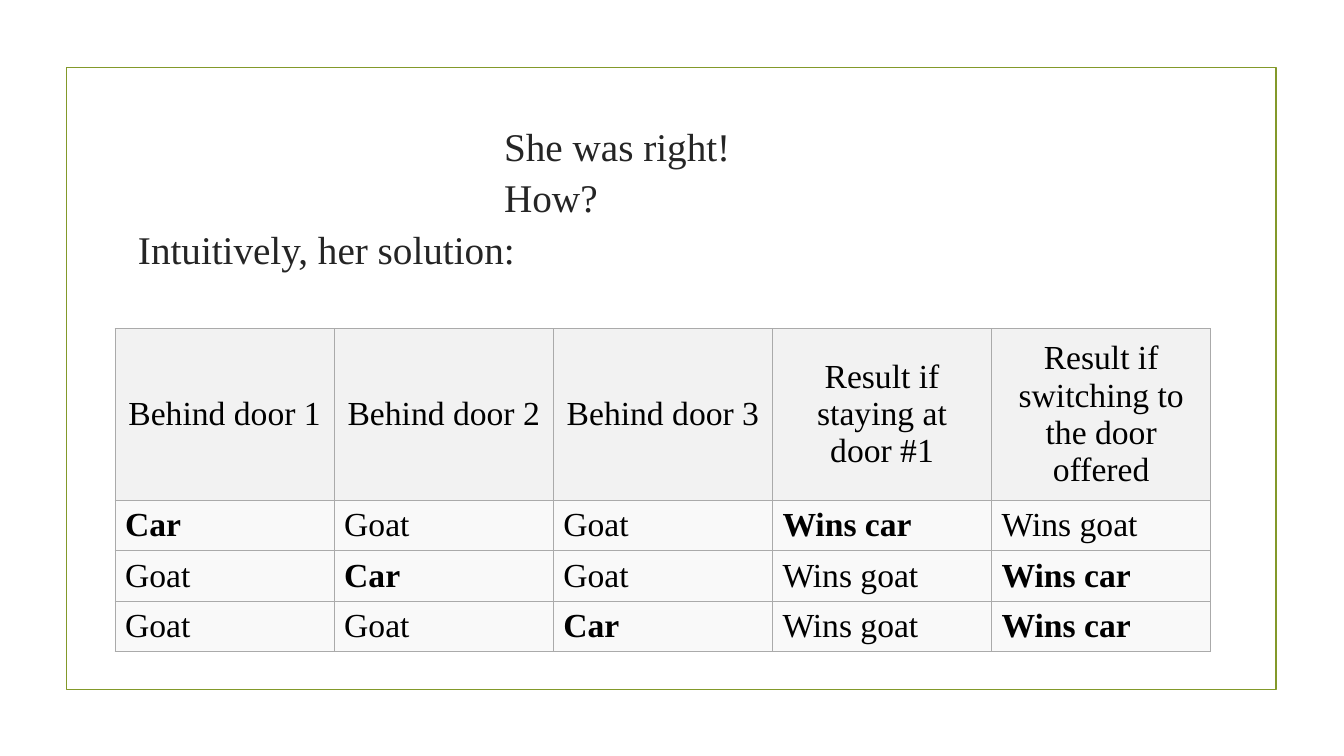
import pptx
import pptx.util
import pptx.dml.color
import pptx.enum.shapes
import pptx.enum.text
import pptx.oxml
import pptx.oxml.ns

Inches = pptx.util.Inches
Pt = pptx.util.Pt
ALIGN = pptx.enum.text.PP_ALIGN

COLORS = {"frame": "83992A", "heading": "252525", "cell_text": "000000",
          "header_fill": "F2F2F2", "body_fill": "F9F9F9", "border": "AAAAAA"}
FONT = "Times New Roman"
HEADERS = ["Behind door 1", "Behind door 2", "Behind door 3",
           "Result if staying at door #1",
           "Result if switching to the door offered"]
OUTCOMES = [["Car", "Goat", "Goat", "Wins car", "Wins goat"],
            ["Goat", "Car", "Goat", "Wins goat", "Wins car"],
            ["Goat", "Goat", "Car", "Wins goat", "Wins car"]]
HEADER_HEIGHT = 1.7


def rgb(name):
    return pptx.dml.color.RGBColor.from_string(COLORS[name])


def format_font(font, color, **values):
    for attribute, value in {"name": FONT, **values}.items():
        setattr(font, attribute, value)
    font.color.rgb = rgb(color)


def draw_frame(slide, left, top, width, height):
    frame = slide.shapes.add_shape(
        pptx.enum.shapes.MSO_SHAPE.RECTANGLE,
        Inches(left), Inches(top), Inches(width), Inches(height))
    frame.shadow.inherit = False
    frame.fill.background()
    frame.line.color.rgb = rgb("frame")
    frame.line.width = Pt(1.25)


def write_heading(heading, text, left, top, width, height):
    box = {"left": left, "top": top, "width": width, "height": height}
    for attribute, value in box.items():
        setattr(heading, attribute, Inches(value))
    frame = heading.text_frame
    frame.text = text
    settings = {"word_wrap": True,
                "auto_size": pptx.enum.text.MSO_AUTO_SIZE.SHAPE_TO_FIT_TEXT,
                "vertical_anchor": pptx.enum.text.MSO_ANCHOR.TOP}
    for attribute, value in settings.items():
        setattr(frame, attribute, value)
    paragraph = frame.paragraphs[0]
    paragraph.alignment = ALIGN.LEFT
    paragraph.line_spacing = 1.08
    format_font(paragraph.runs[0].font, "heading", size=Pt(28))


def add_borders(cell):
    properties = cell._tc.get_or_add_tcPr()
    for index, side in enumerate(("lnL", "lnR", "lnT", "lnB")):
        properties.insert(index, pptx.oxml.parse_xml(
            f'<a:{side} {pptx.oxml.ns.nsdecls("a")} w="{Pt(0.5)}">'
            f'<a:solidFill><a:srgbClr val="{COLORS["border"]}"/></a:solidFill>'
            f'</a:{side}>'))


def fill_cell(cell, text, is_header):
    cell.text = text
    cell.vertical_anchor = pptx.enum.text.MSO_ANCHOR.MIDDLE
    cell.fill.solid()
    cell.fill.fore_color.rgb = rgb("header_fill" if is_header else "body_fill")
    paragraph = cell.text_frame.paragraphs[0]
    paragraph.alignment = ALIGN.CENTER if is_header else ALIGN.LEFT
    format_font(paragraph.runs[0].font, "cell_text", size=Pt(24),
                bold=text in ("Car", "Wins car"))
    add_borders(cell)


def draw_outcomes(slide, left, top, width, height):
    rows = [HEADERS] + OUTCOMES
    outcomes = slide.shapes.add_table(
        len(rows), len(HEADERS), Inches(left), Inches(top),
        Inches(width), Inches(height)).table
    outcomes.horz_banding = False
    for column in outcomes.columns:
        column.width = Inches(width / len(HEADERS))
    body_height = (height - HEADER_HEIGHT) / len(OUTCOMES)
    for index, texts in enumerate(rows):
        outcomes.rows[index].height = Inches(body_height if index else HEADER_HEIGHT)
        for column, text in enumerate(texts):
            fill_cell(outcomes.cell(index, column), text, index == 0)


def build_solution_slide(deck):
    slide = deck.slides.add_slide(deck.slide_layouts[5])
    # Border around the content
    draw_frame(slide, 0.66, 0.67, 12, 6.17)
    # Title and lead-in
    write_heading(slide.shapes.title, "She was right! How?", 4.9, 1.13, 3.35, 0.57)
    lead_in = slide.shapes.add_textbox(0, 0, 0, 0)
    write_heading(lead_in, "Intuitively, her solution:", 1.27, 2.15, 4.35, 0.57)
    # Outcomes for each arrangement of doors
    draw_outcomes(slide, 1.14, 3.26, 10.87, 3.2)


def main():
    deck = pptx.Presentation()
    deck.slide_width = Inches(13.33)
    deck.slide_height = Inches(7.5)
    build_solution_slide(deck)
    deck.save("out.pptx")


if __name__ == "__main__":
    main()
